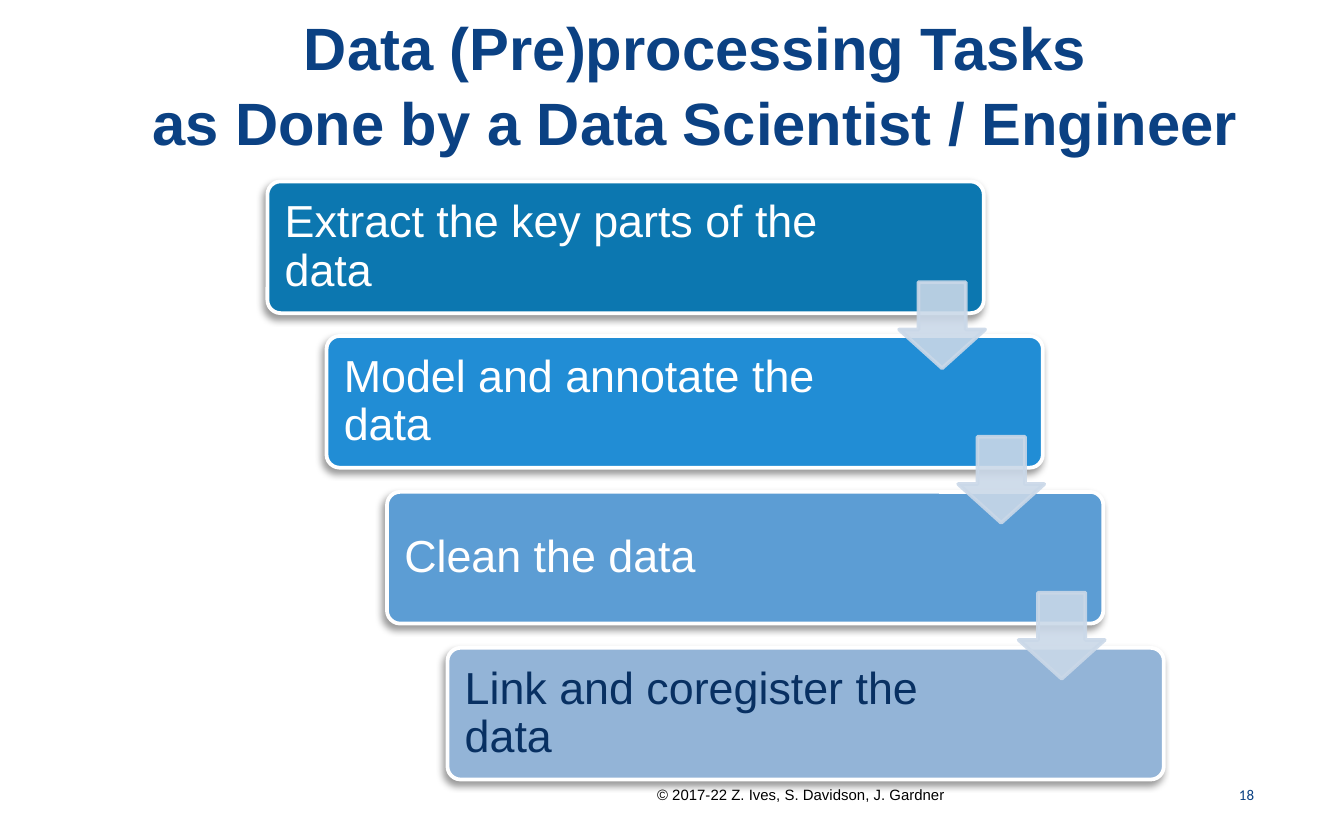
from dataclasses import dataclass

from lxml import etree
from pptx import Presentation
from pptx.dml.color import RGBColor
from pptx.enum.shapes import MSO_SHAPE
from pptx.enum.text import MSO_ANCHOR, PP_ALIGN
from pptx.oxml.ns import qn
from pptx.util import Pt

ROUNDED, DOWN_ARROW = MSO_SHAPE.ROUNDED_RECTANGLE, MSO_SHAPE.DOWN_ARROW
MIDDLE, BOTTOM = MSO_ANCHOR.MIDDLE, MSO_ANCHOR.BOTTOM
LEFT, CENTER, RIGHT = PP_ALIGN.LEFT, PP_ALIGN.CENTER, PP_ALIGN.RIGHT
EMU_PER_PX = 9144


@dataclass(frozen=True)
class Theme:
    """Colours, fonts and type sizes of the slide."""
    navy: str = "0B4183"
    deep_navy: str = "083062"
    white: str = "FFFFFF"
    black: str = "000000"
    arrow: str = "CAD8E8"
    body_font: str = "Arial"
    number_font: str = "Calibri"
    title_size: int = 32
    step_size: int = 24
    footer_size: int = 8


THEME = Theme()
STEPS = [
    ("Extract the key parts of the data", "0C77B0", THEME.white),
    ("Model and annotate the data", "218DD5", THEME.white),
    ("Clean the data", "5C9DD4", THEME.white),
    ("Link and coregister the data", "93B4D7", THEME.deep_navy),
]


def px(length):
    """Turn whole px into EMU."""
    return length * EMU_PER_PX


def write(frame, text, *, size, color, font=THEME.body_font, bold=False,
          align=LEFT, anchor=MIDDLE, spacing=1.0, inset=10):
    """Fill a text frame with one formatted paragraph."""
    frame.word_wrap = True
    frame.vertical_anchor = anchor
    frame.margin_left = frame.margin_right = px(10)
    frame.margin_top = frame.margin_bottom = px(inset)
    frame.text = text
    paragraph = frame.paragraphs[0]
    paragraph.alignment = align
    paragraph.line_spacing = spacing
    for run in paragraph.runs:
        run.font.name = font
        run.font.size = Pt(size)
        run.font.bold = bold
        run.font.color.rgb = RGBColor.from_string(color)


class SlideBuilder:
    """Draws the elements of one slide in the theme."""

    def __init__(self, slide, theme):
        self.slide = slide
        self.theme = theme

    def text(self, box, text, **style):
        """Add a text box."""
        area = self.slide.shapes.add_textbox(*map(px, box))
        write(area.text_frame, text, **style)

    def shape(self, kind, box, fill, outline, adjustments):
        """Add a filled preset shape without a shadow."""
        shape = self.slide.shapes.add_shape(kind, *map(px, box))
        shape.shadow.inherit = False
        shape.fill.solid()
        shape.fill.fore_color.rgb = RGBColor.from_string(fill)
        shape.line.color.rgb = RGBColor.from_string(outline)
        shape.line.width = Pt(2)
        for index, value in enumerate(adjustments):
            shape.adjustments[index] = value
        return shape

    def step(self, left, top, text, fill, color):
        """Add a shadowed step card with its label."""
        card = self.shape(ROUNDED, (left, top, 533, 98), fill, self.theme.white, [0.1])
        effects = card.element.spPr.find(qn("a:effectLst"))
        shadow = etree.SubElement(effects, qn("a:outerShdw"), blurRad=str(Pt(4)),
                                  dist=str(Pt(3)), dir="8100000", rotWithShape="0")
        tint = etree.SubElement(shadow, qn("a:srgbClr"), val=self.theme.black)
        etree.SubElement(tint, qn("a:alpha"), val="40000")
        self.text((left + 3, top + 3, 420, 92), text, size=self.theme.step_size,
                  color=color, spacing=0.9)

    def arrow(self, left, top):
        """Add a translucent down arrow."""
        color = self.theme.arrow
        arrow = self.shape(DOWN_ARROW, (left, top, 64, 64), color, color, [0.55, 0.45])
        for tint in arrow.element.spPr.iter(qn("a:srgbClr")):
            etree.SubElement(tint, qn("a:alpha"), val="89000")


def main():
    """Build and save the slide."""
    deck = Presentation()
    deck.slide_width, deck.slide_height = px(1000), px(625)
    builder = SlideBuilder(deck.slides.add_slide(deck.slide_layouts[6]), THEME)

    builder.text((479, 580, 302, 23), "© 2017-22 Z. Ives, S. Davidson, J. Gardner",
                 size=THEME.footer_size, color=THEME.black, anchor=BOTTOM, inset=5)
    builder.text((92, 14, 851, 94),
                 "Data (Pre)processing Tasks\vas Done by a Data Scientist / Engineer",
                 size=THEME.title_size, color=THEME.navy, bold=True, align=CENTER,
                 spacing=1.05)
    builder.text((898, 575, 45, 33), "18", size=THEME.footer_size, color=THEME.navy,
                 font=THEME.number_font, align=RIGHT, inset=5)

    corners = [(199 + i * 134 // 3, 135 + i * 347 // 3) for i in range(len(STEPS))]
    for (left, top), (label, fill, color) in zip(corners, STEPS):
        builder.step(left, top, label, fill, color)
    for left, top in corners[:-1]:
        builder.arrow(left + 470, top + 75)

    deck.save("out.pptx")


if __name__ == "__main__":
    main()
